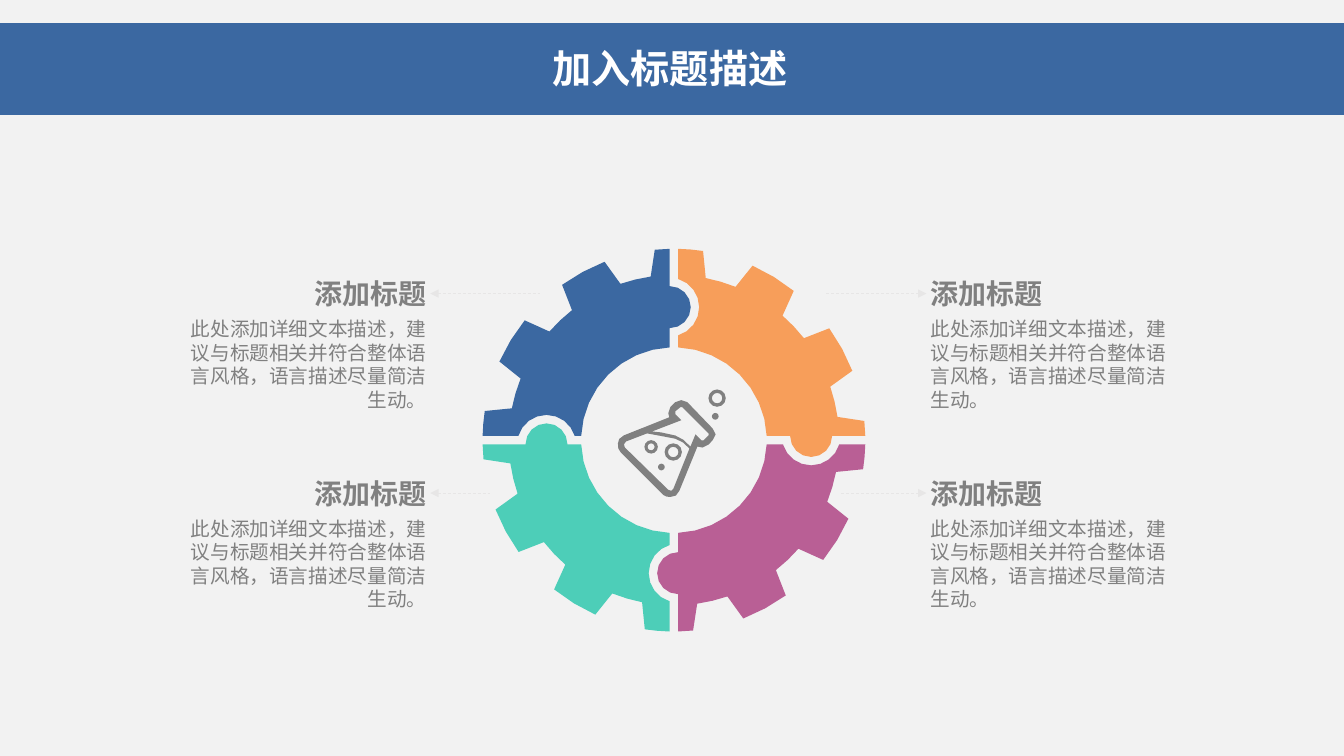
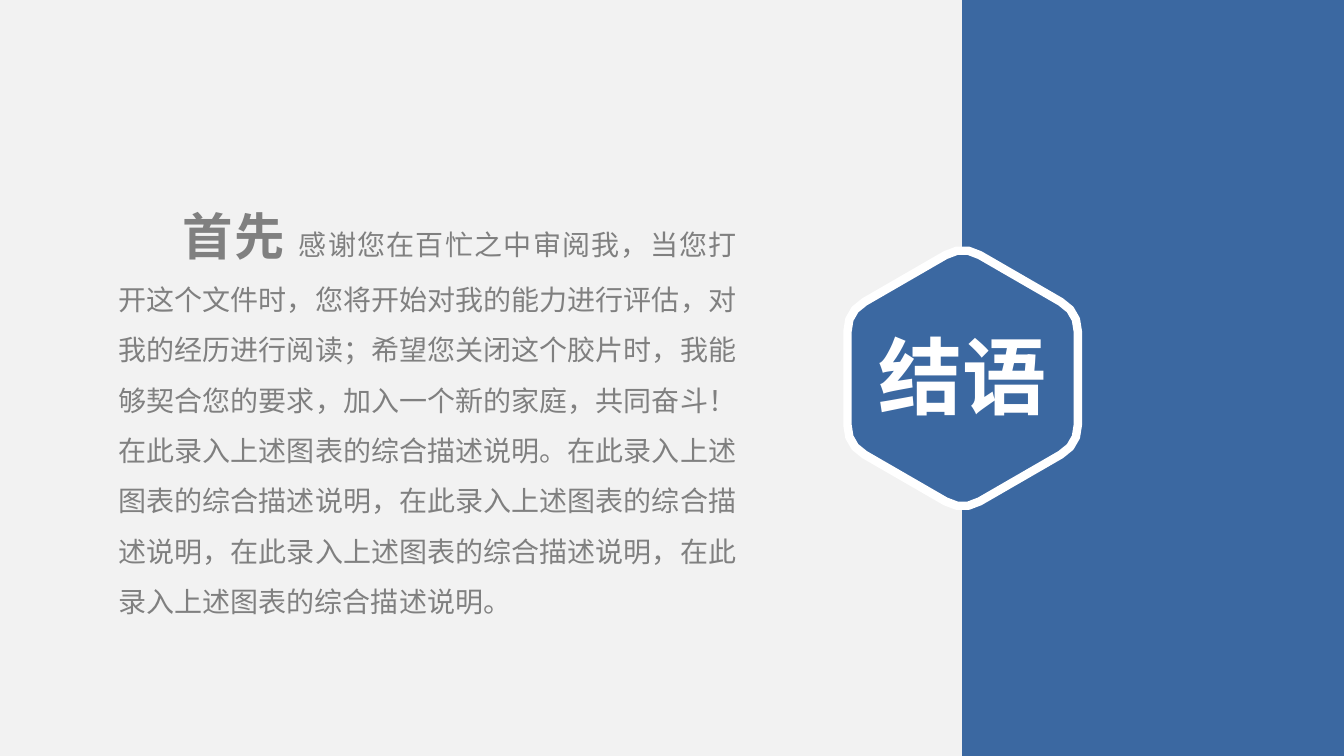
from math import asin, cos, degrees, hypot, radians, sin, sqrt

from lxml.etree import SubElement
from pptx import Presentation
from pptx.dml.color import RGBColor
from pptx.enum.dml import MSO_LINE
from pptx.enum.shapes import MSO_CONNECTOR, MSO_SHAPE
from pptx.enum.text import MSO_ANCHOR, MSO_AUTO_SIZE, PP_ALIGN
from pptx.oxml.ns import qn
from pptx.util import Pt

# Shared style
FONT = "Noto Sans CJK SC"
BLUE = RGBColor(0x3B, 0x68, 0xA1)
ORANGE = RGBColor(0xF7, 0x9E, 0x5A)
PURPLE = RGBColor(0xB9, 0x5F, 0x95)
TEAL = RGBColor(0x4D, 0xCE, 0xB8)
GRAY = RGBColor(0x80, 0x80, 0x80)
PALE = RGBColor(0xE7, 0xE6, 0xE6)
BACK = RGBColor(0xF2, 0xF2, 0xF2)
WHITE = RGBColor(0xFF, 0xFF, 0xFF)
WIDE, HIGH = 960, 540

# Gear measures, in points
HUB_X, HUB_Y = 481.4, 314.4
OUTER, ROOT, INNER = 136.7, 118, 66.3
GAP, KNOB, SOCKET = 3, 15, 21
SEAMS = [95, 98, 95, 91]  # knob distance from hub: top, right, bottom, left
PITCH, SHIFT, TIP, FOOT = 30, 1.5, 7.25, 9.6  # tooth angles in degrees

# Flask outline, liquid and air
FLASK = [
    [(491, 287.3), (486.7, 285.8), (482.4, 287.3), (478.8, 290.9),
     (477.4, 295.2), (478.1, 298.1), (445.7, 311), (442.3, 313.6),
     (441.4, 316.8), (441.7, 320.4), (443.5, 323.3), (473.8, 353.5),
     (476, 354.7), (478.8, 355), (482.8, 354), (485.3, 350.6),
     (498.2, 319), (501.8, 319.7), (506.2, 317.5), (509, 314.6),
     (511.2, 310.3), (509, 306)],
    [(481, 349.2), (479.5, 350.6), (477.4, 349.9), (446.4, 319.7),
     (445.7, 317.5), (447.1, 315.4), (462.2, 309.6), (472.1, 311.4),
     (482.4, 313.4), (487.8, 316), (492.5, 320.4)],
    [(506.2, 311), (502.6, 314.6), (501.1, 314.6), (496.8, 310.3),
     (493.2, 319), (488.2, 314.2), (482.4, 311.1), (472.3, 308.9),
     (465.8, 308.2), (486.7, 300.2), (482.4, 295.9), (482.4, 293.8),
     (486, 290.9), (487.4, 290.9), (506.2, 309.6)],
]
RINGS = [(480.9, 322.9, 6.2, 0.2), (512.2, 284.4, 6.2, 0.2),
         (465.1, 319.2, 4.8, 0.24)]
DOTS = [(472.4, 333.6, 2.4), (510.9, 297.4, 2.4)]

HEAD = "添加标题"
BODY = "此处添加详细文本描述，建议与标题相关并符合整体语言风格，语言描述尽量简洁生动。"
THANKS = ("感谢您在百忙之中审阅我，当您打开这个文件时，您将开始对我的能力进行评估，"
          "对我的经历进行阅读；希望您关闭这个胶片时，我能够契合您的要求，"
          "加入一个新的家庭，共同奋斗！在此录入上述图表的综合描述说明。"
          "在此录入上述图表的综合描述说明，在此录入上述图表的综合描述说明，"
          "在此录入上述图表的综合描述说明，在此录入上述图表的综合描述说明。")


# Basic elements
def paint(shape, fill, line=None, width=0):
    shape.shadow.inherit = False
    shape.fill.solid()
    shape.fill.fore_color.rgb = fill
    if line is None:
        shape.line.fill.background()
    else:
        shape.line.color.rgb = line
        shape.line.width = Pt(width)


def add_form(slide, kind, x, y, w, h, fill):
    shape = slide.shapes.add_shape(kind, Pt(x), Pt(y), Pt(w), Pt(h))
    paint(shape, fill)
    return shape


def add_path(slide, loops, fill, line=None, width=0):
    loops = [[(Pt(x), Pt(y)) for x, y in loop] for loop in loops]
    pen = slide.shapes.build_freeform(*loops[0][0])
    pen.add_line_segments(loops[0][1:])
    for loop in loops[1:]:
        pen.move_to(*loop[0])
        pen.add_line_segments(loop[1:])
    paint(pen.convert_to_shape(), fill, line, width)


def set_font(para, color, size=None, bold=None):
    font = para.font
    font.name, font.bold = FONT, bold
    font.color.rgb = color
    if size:
        font.size = Pt(size)
    props = para._p.pPr.find(qn("a:defRPr"))
    SubElement(props, qn("a:ea")).set("typeface", FONT)


def set_frame(box, pad_x, pad_y):
    frame = box.text_frame
    frame.word_wrap = True
    frame.auto_size = MSO_AUTO_SIZE.NONE
    frame.vertical_anchor = MSO_ANCHOR.TOP
    frame.margin_left = frame.margin_right = Pt(pad_x)
    frame.margin_top = frame.margin_bottom = Pt(pad_y)
    return frame.paragraphs[0]


def add_text(slide, text, x, y, w, h, align, size, bold):
    box = slide.shapes.add_textbox(Pt(x), Pt(y), Pt(w), Pt(h))
    para = set_frame(box, 2.8, 2.8)
    para.text, para.alignment = text, align
    set_font(para, GRAY, size, bold)
    return box


def set_title(slide, text, x, y, w, h, size):
    title = slide.shapes.title
    title.left, title.top, title.width, title.height = Pt(x), Pt(y), Pt(w), Pt(h)
    para = set_frame(title, 5, 3)
    para.text, para.alignment = text, PP_ALIGN.CENTER
    set_font(para, WHITE, size, True)
    # Bring the title in front of what is drawn so far
    title.element.getparent().append(title.element)


def add_arrow(slide, box, side, end):
    y = box.top + box.height // 2
    wire = slide.shapes.add_connector(
        MSO_CONNECTOR.STRAIGHT, box.left, y, Pt(end), y)
    wire.begin_connect(box, side)
    wire.line.color.rgb = PALE
    wire.line.width = Pt(0.5)
    wire.line.dash_style = MSO_LINE.DASH
    SubElement(wire.line._get_or_add_ln(), qn("a:headEnd")).set("type", "triangle")
    SubElement(wire._element.spPr, qn("a:effectLst"))


# Gear quarter: u runs along its first seam, v along its last
def arc(u, v, size, start, end, steps):
    turns = [radians(start + (end - start) * i / steps) for i in range(steps + 1)]
    return [(u + size * cos(t), v + size * sin(t)) for t in turns]


def rim():
    edge = degrees(asin(GAP / OUTER))
    points, start = [], edge
    for tooth in range(3):
        mid = SHIFT + tooth * PITCH
        points += arc(0, 0, OUTER, start, mid + TIP, 2)
        points += arc(0, 0, ROOT, mid + FOOT, mid + PITCH - FOOT, 2)
        start = mid + PITCH - TIP
    return points + arc(0, 0, OUTER, start, 90 - edge, 1)


def add_part(slide, turn, fill):
    first, last = SEAMS[turn], SEAMS[(turn + 1) % 4]
    cut = degrees(asin(2 * GAP / SOCKET))
    edge = degrees(asin(GAP / INNER))
    points = arc(first, -GAP, SOCKET, 180 - cut, cut, 8)
    points += rim()
    points += arc(GAP, last, KNOB, 90, 270, 8)
    points += arc(0, 0, INNER, 90 - edge, edge, 8)
    angle = radians(90 * turn - 90)
    c, s = cos(angle), sin(angle)
    add_path(slide, [[(HUB_X + u * c - v * s, HUB_Y + u * s + v * c)
                      for u, v in points]], fill)


def add_flask(slide):
    add_path(slide, [loop + loop[:1] for loop in FLASK], GRAY)
    for x, y, r, rim_size in RINGS:
        ring = add_form(slide, MSO_SHAPE.DONUT, x - r, y - r, 2 * r, 2 * r, GRAY)
        ring.adjustments[0] = rim_size
    for x, y, r in DOTS:
        add_form(slide, MSO_SHAPE.OVAL, x - r, y - r, 2 * r, 2 * r, GRAY)


def add_note(slide, left, y, end):
    x, align, side = (130.6, PP_ALIGN.RIGHT, 3) if left else (661.8, PP_ALIGN.LEFT, 1)
    add_text(slide, BODY, x, y + 28.6, 177, 74, align, 14, False)
    head_x = x + 14 if left else x
    head = add_text(slide, HEAD, head_x, y, 162.7, 29.4, align, 20, True)
    add_arrow(slide, head, side, end)


# Hexagon with rounded corners
def add_hex(slide, x, y, size, trim):
    tips = [(x + size * sin(radians(60 * i)), y - size * cos(radians(60 * i)))
            for i in range(6)]
    points = []
    for i, (tx, ty) in enumerate(tips):
        ends = []
        for nx, ny in (tips[i - 1], tips[(i + 1) % 6]):
            part = trim / hypot(nx - tx, ny - ty)
            ends.append((tx + (nx - tx) * part, ty + (ny - ty) * part))
        (ax, ay), (bx, by) = ends
        for t in [k / 3 for k in range(4)]:
            p, q, r = (1 - t) ** 2, 2 * t * (1 - t), t * t
            points.append((p * ax + q * tx + r * bx, p * ay + q * ty + r * by))
    add_path(slide, [points], BLUE, WHITE, 6)


# Slides
def gear_slide(slide):
    add_form(slide, MSO_SHAPE.RECTANGLE, 0, 16.5, WIDE, 65.5, BLUE)
    set_title(slide, "加入标题描述", 0, 28.4, 957, 46, 28)
    for turn, fill in enumerate([ORANGE, PURPLE, TEAL, BLUE]):
        add_part(slide, turn, fill)
    for left, y, end in [(True, 195, 386), (True, 337.5, 350),
                         (False, 195, 589), (False, 337.5, 601)]:
        add_note(slide, left, y, end)
    add_flask(slide)


def end_slide(slide):
    # Side panel in three overlapping strips
    for x, w in [(687.2, 267), (774.4, 97.2), (863.6, 96.4)]:
        add_form(slide, MSO_SHAPE.RECTANGLE, x, 0, w, HIGH, BLUE)
    add_hex(slide, 687.6, 270.2, 95, 10 * sqrt(2))
    set_title(slide, "结语", 584.5, 228.6, 206, 79, 60)
    box = slide.shapes.add_textbox(Pt(77.6), Pt(121.3), Pt(455.6), Pt(327))
    para = set_frame(box, 7.2, 3.6)
    para.alignment = PP_ALIGN.JUSTIFY
    para.line_spacing, para.space_after = 1.5, Pt(12)
    para._p.get_or_add_pPr().set("indent", str(Pt(46)))
    set_font(para, GRAY)
    for text, size, bold in [("首先 ", 36, True), (THANKS, 20, False)]:
        run = para.add_run()
        run.text = text
        run.font.size, run.font.bold = Pt(size), bold


def main():
    deck = Presentation()
    deck.slide_width, deck.slide_height = Pt(WIDE), Pt(HIGH)
    back = deck.slide_master.background.fill
    back.solid()
    back.fore_color.rgb = BACK
    for build in (gear_slide, end_slide):
        build(deck.slides.add_slide(deck.slide_layouts[5]))
    deck.save("out.pptx")


if __name__ == "__main__":
    main()
